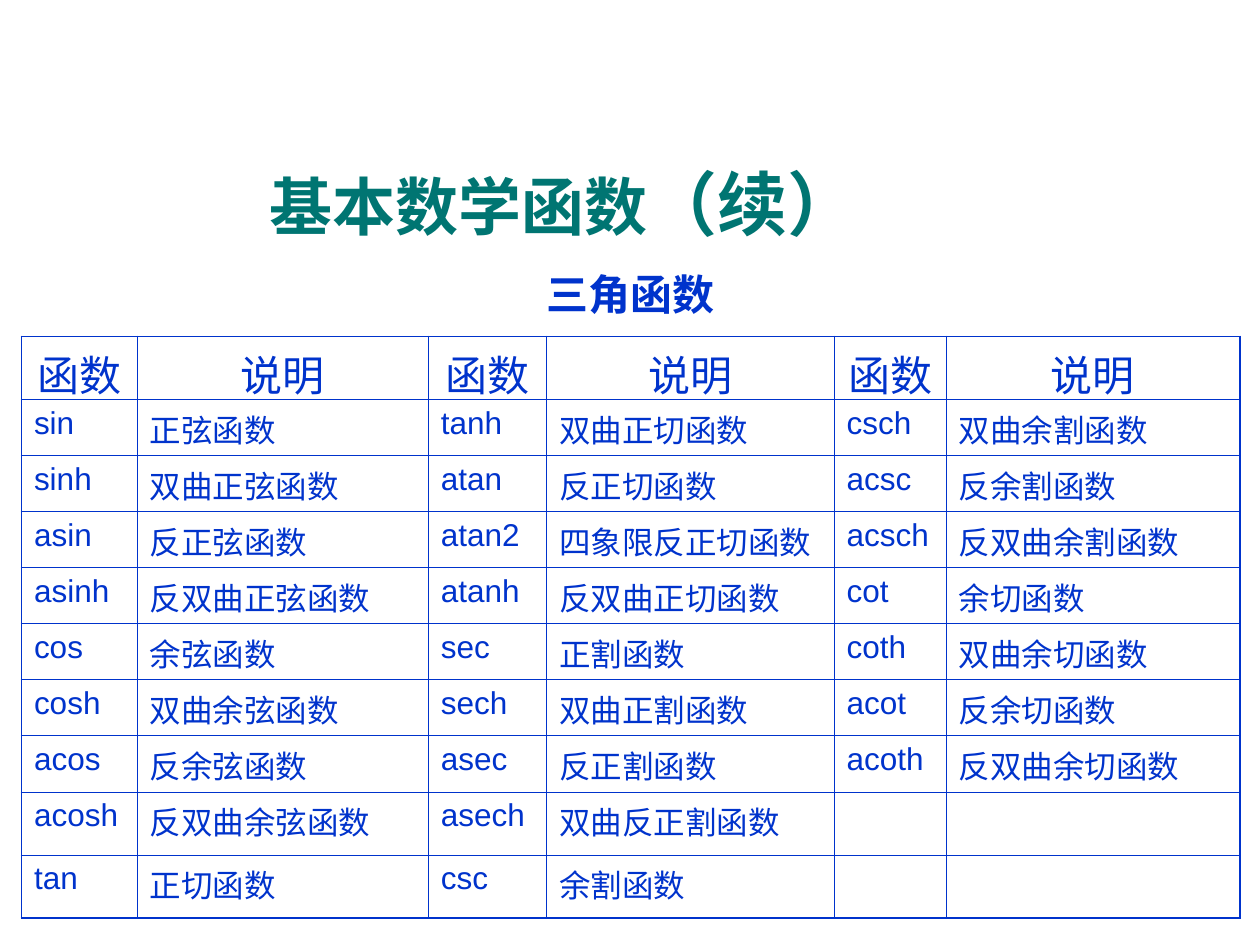
from lxml import etree
from pptx import Presentation
from pptx import util as u
from pptx.dml.color import RGBColor
from pptx.enum import text
from pptx.oxml.ns import qn

BLUE = RGBColor(0x00, 0x33, 0xCC)
TEAL = RGBColor(0x00, 0x75, 0x72)
THIN, THICK = u.Pt(0.45), u.Pt(1.08)
COLUMN_WIDTHS = [0.92, 2.31, 0.94, 2.28, 0.89, 2.33]
ROW_HEIGHTS = [0.5] + [0.445] * 7 + [0.5] * 2
ROWS = [
    ["函数", "说明"] * 3,
    ["sin", "正弦函数", "tanh", "双曲正切函数", "csch", "双曲余割函数"],
    ["sinh", "双曲正弦函数", "atan", "反正切函数", "acsc", "反余割函数"],
    ["asin", "反正弦函数", "atan2", "四象限反正切函数", "acsch", "反双曲余割函数"],
    ["asinh", "反双曲正弦函数", "atanh", "反双曲正切函数", "cot", "余切函数"],
    ["cos", "余弦函数", "sec", "正割函数", "coth", "双曲余切函数"],
    ["cosh", "双曲余弦函数", "sech", "双曲正割函数", "acot", "反余切函数"],
    ["acos", "反余弦函数", "asec", "反正割函数", "acoth", "反双曲余切函数"],
    ["acosh", "反双曲余弦函数", "asech", "双曲反正割函数", "", ""],
    ["tan", "正切函数", "csc", "余割函数", "", ""],
]


def style_font(font, size, color, bold=False):
    font.name, font.size, font.bold = "Arial", u.Pt(size), bold
    font.color.rgb = color


def draw_border(cell, side, width):
    line = etree.SubElement(cell._tc.get_or_add_tcPr(), qn(f"a:ln{side}"), w=str(width))
    fill = etree.SubElement(line, qn("a:solidFill"))
    etree.SubElement(fill, qn("a:srgbClr"), val=str(BLUE))


presentation = Presentation()
presentation.slide_width, presentation.slide_height = u.Inches(10), u.Inches(7.5)
slide = presentation.slides.add_slide(presentation.slide_layouts[6])

# Subtitle, with a hanging indent
subtitle = slide.shapes.add_textbox(u.Inches(0.42), u.Inches(1.96), u.Inches(8.67), u.Inches(0.62))
subtitle.text_frame.word_wrap = True
paragraph = subtitle.text_frame.paragraphs[0]
paragraph.text = "三角函数"
paragraph.alignment = text.PP_ALIGN.CENTER
paragraph.line_spacing = 1.3
properties = paragraph._p.get_or_add_pPr()
properties.set("marL", str(u.Inches(1.08)))
properties.set("indent", str(u.Inches(-0.58)))
style_font(paragraph.font, 24, BLUE, bold=True)

# Title
title = slide.shapes.add_textbox(u.Inches(0.59), u.Inches(1.22), u.Inches(7.76), u.Inches(0.77))
title.text_frame.word_wrap = True
title.text_frame.auto_size = text.MSO_AUTO_SIZE.SHAPE_TO_FIT_TEXT
title.text_frame.vertical_anchor = text.MSO_ANCHOR.MIDDLE
paragraph = title.text_frame.paragraphs[0]
paragraph.alignment = text.PP_ALIGN.CENTER
for words, size in [("基本数学函数", 36), ("（续）", 40)]:
    run = paragraph.add_run()
    run.text = words
    style_font(run.font, size, TEAL, bold=True)

# Function table
frame = slide.shapes.add_table(
    len(ROWS), len(COLUMN_WIDTHS), u.Inches(0.17), u.Inches(2.67),
    u.Inches(sum(COLUMN_WIDTHS)), u.Inches(sum(ROW_HEIGHTS)))
table = frame.table
table.first_row = table.horz_banding = False
for column, width in zip(table.columns, COLUMN_WIDTHS):
    column.width = u.Inches(width)
for row, height in zip(table.rows, ROW_HEIGHTS):
    row.height = u.Inches(height)

last_row, last_column = len(ROWS) - 1, len(COLUMN_WIDTHS) - 1
for row_index, row in enumerate(ROWS):
    for column_index, words in enumerate(row):
        cell = table.cell(row_index, column_index)
        # Thick lines around the table, thin lines inside
        outer_sides = {
            "L": column_index == 0, "R": column_index == last_column,
            "T": row_index == 0, "B": row_index == last_row}
        for side, is_outer in outer_sides.items():
            draw_border(cell, side, THICK if is_outer else THIN)
        cell.fill.background()
        paragraph = cell.text_frame.paragraphs[0]
        paragraph.text = words
        is_header = row_index == 0
        paragraph.alignment = text.PP_ALIGN.CENTER if is_header else text.PP_ALIGN.LEFT
        style_font(paragraph.font, 24 if is_header else 18, BLUE)

presentation.save("out.pptx")
